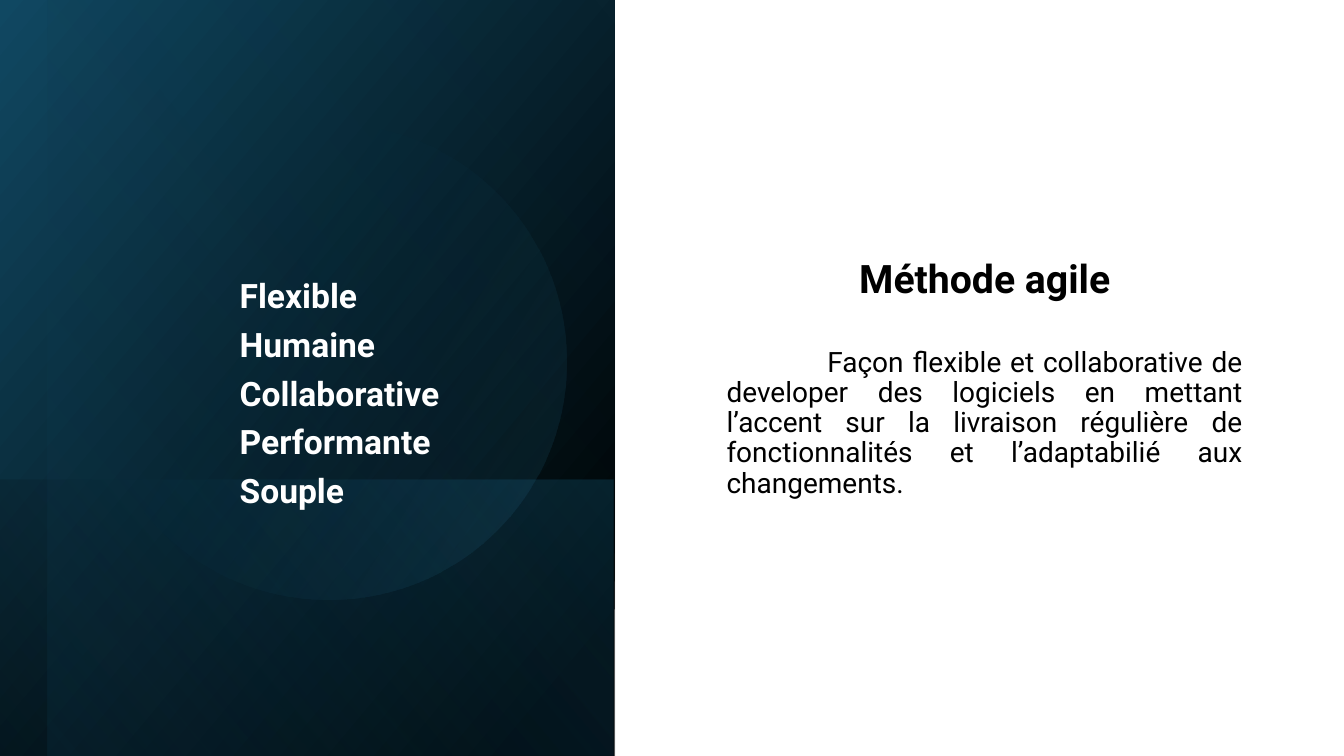
from dataclasses import dataclass

from lxml.etree import SubElement
from pptx import Presentation
from pptx.dml.color import RGBColor
from pptx.enum.shapes import MSO_SHAPE
from pptx.enum.text import MSO_ANCHOR, PP_ALIGN
from pptx.oxml.ns import qn
from pptx.util import Cm, Pt


@dataclass(frozen=True)
class Theme:
    font: str = "Roboto"
    black: str = "000000"
    white: str = "FFFFFF"
    navy: str = "104862"
    teal: str = "156082"
    sky: str = "46B1E1"
    title_size: int = 28
    list_size: int = 24
    body_size: int = 20


theme = Theme()


def fill_with_gradient(shape, stops, angle):
    """Fill with two (position, colour, opacity) stops, percentages, along a clockwise angle."""
    shape.fill.gradient()
    shape.fill.gradient_angle = 360 - angle
    for gradient_stop, (position, color, _) in zip(shape.fill.gradient_stops, stops):
        gradient_stop.position = position / 100
        gradient_stop.color.rgb = RGBColor.from_string(color)
    for color_element, (_, _, opacity) in zip(shape.element.spPr.iter(qn("a:srgbClr")), stops):
        if opacity < 100:
            SubElement(color_element, qn("a:alpha"), val=str(opacity * 1000))


def write_text(shape, lines, font_format, paragraph_format, frame_format):
    text_frame = shape.text_frame
    text_frame.text = "\n".join(lines)
    for name, value in frame_format.items():
        setattr(text_frame, name, value)
    for paragraph in text_frame.paragraphs:
        for name, value in paragraph_format.items():
            setattr(paragraph, name, value)
        font = paragraph.runs[0].font
        font.name = theme.font
        font.color.rgb = RGBColor.from_string(font_format["color"])
        font.size = Pt(font_format["size"])
        font.bold = font_format["bold"]


presentation = Presentation()
presentation.slide_width = Cm(33.87)
presentation.slide_height = Cm(19.05)
slide = presentation.slides.add_slide(presentation.slide_layouts[5])

# Dark panel: left, top, width, height (before rotation), rotation, flip, stops, angle
panel_layers = [
    (MSO_SHAPE.RECTANGLE, (-1.78, 1.78, 19.05, 15.49), 90, True,
     [(8, theme.black, 100), (100, theme.navy, 100)], 50),
    (MSO_SHAPE.RECTANGLE, (4.24, 7.82, 6.96, 15.49), 90, True,
     [(2, theme.teal, 29), (100, theme.black, 30)], 130),
    (MSO_SHAPE.RECTANGLE, (-1.17, 2.36, 19.05, 14.3), 90, True,
     [(0, theme.black, 0), (99, theme.teal, 11)], 130),
    (MSO_SHAPE.OVAL, (2.29, 3.12, 11.99, 11.99), 101.6, False,
     [(39, theme.teal, 0), (100, theme.sky, 15)], 290),
]
for preset, box, rotation, flipped, stops, angle in panel_layers:
    layer = slide.shapes.add_shape(preset, *map(Cm, box))
    layer.rotation = rotation
    layer.shadow.inherit = False
    layer.line.fill.background()
    fill_with_gradient(layer, stops, angle)
    if flipped:
        layer.element.spPr.find(qn("a:xfrm")).set("flipH", "1")

# Title and definition share one column
column_left, column_width = Cm(18.06), Cm(13.51)
column_frame = {"word_wrap": True, "vertical_anchor": MSO_ANCHOR.TOP,
                "margin_top": 0, "margin_bottom": 0}

title = slide.shapes.title
title.left, title.top, title.width, title.height = column_left, Cm(6.53), column_width, Cm(1.1)
write_text(title, ["Méthode agile"],
           {"size": theme.title_size, "color": theme.black, "bold": True},
           {"alignment": PP_ALIGN.CENTER, "line_spacing": 0.9}, column_frame)

definition = slide.shapes.add_textbox(column_left, Cm(8.77), column_width, Cm(3.8))
write_text(definition,
           ["Façon flexible et collaborative de developer des logiciels en mettant "
            "l’accent sur la livraison régulière de fonctionnalités et l’adaptabilié "
            "aux changements."],
           {"size": theme.body_size, "color": theme.black, "bold": False},
           {"alignment": PP_ALIGN.JUSTIFY, "line_spacing": 0.9}, column_frame)
first_line = definition.text_frame.paragraphs[0]
first_line._p.get_or_add_pPr().set("indent", str(Cm(2.54)))

qualities = slide.shapes.add_textbox(Cm(5.79), Cm(6.81), Cm(7.24), Cm(6.25))
write_text(qualities,
           ["Flexible", "Humaine", "Collaborative", "Performante", "Souple"],
           {"size": theme.list_size, "color": theme.white, "bold": True},
           {"alignment": PP_ALIGN.LEFT, "space_after": Pt(6)}, {"word_wrap": True})

presentation.save("out.pptx")
